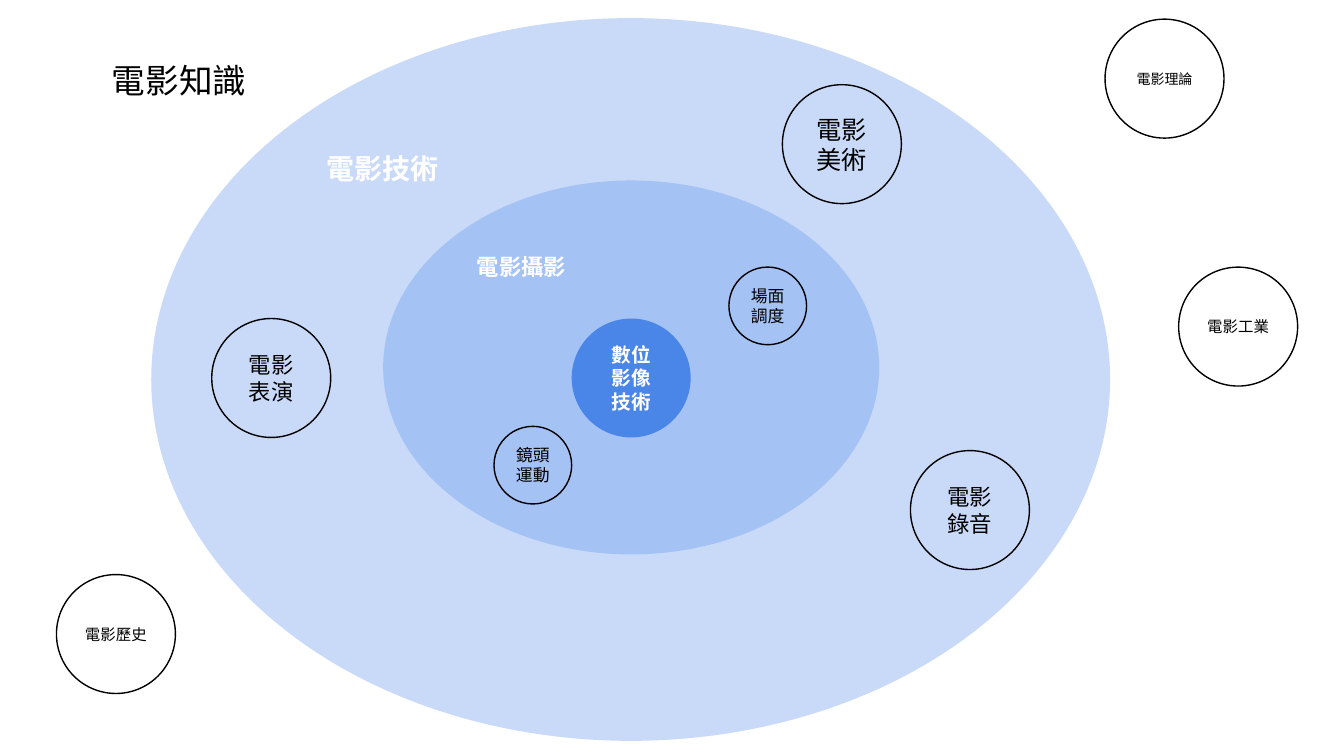
import pptx
import pptx.util
import pptx.dml.color
import pptx.enum.shapes
import pptx.enum.text

Inches = pptx.util.Inches
Pt = pptx.util.Pt
ALIGN = pptx.enum.text.PP_ALIGN
ANCHOR = pptx.enum.text.MSO_ANCHOR


class FilmMap:
    font = "Arial"
    colors = {
        "black": "000000",
        "white": "FFFFFF",
        "technique": "C9DAF8",
        "cinematography": "A4C2F4",
        "digital": "4A86E8",
    }

    def __init__(self, slide):
        self.slide = slide

    def color(self, name):
        return pptx.dml.color.RGBColor.from_string(self.colors[name])

    def add_lines(self, frame, lines, size, color, bold, align, anchor, spacing=1.0):
        frame.vertical_anchor = anchor
        frame.auto_size = pptx.enum.text.MSO_AUTO_SIZE.NONE
        frame.margin_left = frame.margin_right = Inches(0.1)
        frame.margin_top = frame.margin_bottom = Inches(0.05)
        for index, line in enumerate(lines):
            paragraph = frame.add_paragraph() if index else frame.paragraphs[0]
            paragraph.alignment = align
            paragraph.line_spacing = spacing
            run = paragraph.add_run()
            run.text = line
            run.font.name = self.font
            run.font.size = Pt(size)
            run.font.bold = bold
            run.font.color.rgb = self.color(color)

    def label(self, holder, text, size, color, bold):
        holder.text_frame.word_wrap = False
        self.add_lines(holder.text_frame, [text], size, color, bold,
                       ALIGN.LEFT, ANCHOR.TOP, 0.8)

    def title(self, text, left, top, width, height, size):
        heading = self.slide.shapes.title
        heading.left, heading.top = Inches(left), Inches(top)
        heading.width, heading.height = Inches(width), Inches(height)
        self.label(heading, text, size, "black", False)

    def field_name(self, text, left, top, width, height, size):
        caption = self.slide.shapes.add_textbox(
            Inches(left), Inches(top), Inches(width), Inches(height))
        self.label(caption, text, size, "white", True)

    def ellipse(self, left, top, width, height, fill=None):
        oval = self.slide.shapes.add_shape(
            pptx.enum.shapes.MSO_SHAPE.OVAL,
            Inches(left), Inches(top), Inches(width), Inches(height))
        oval.shadow.inherit = False
        if fill:
            oval.fill.solid()
            oval.fill.fore_color.rgb = self.color(fill)
            oval.line.fill.background()
        else:
            oval.fill.background()
            oval.line.color.rgb = self.color("black")
            oval.line.width = Pt(1)
        return oval

    def topic(self, lines, left, top, diameter, size, fill=None):
        circle = self.ellipse(left, top, diameter, diameter, fill)
        circle.text_frame.word_wrap = True
        self.add_lines(circle.text_frame, lines, size,
                       "white" if fill else "black", bool(fill),
                       ALIGN.CENTER, ANCHOR.MIDDLE)


LARGE, SMALL = 1.18, 0.77
TOPICS = [
    ("電影工業", 11.69, 2.65, LARGE, 11),
    ("電影理論", 10.96, 0.19, LARGE, 10),
    ("電影美術", 7.76, 0.84, LARGE, 18),
    ("電影表演", 2.1, 3.16, LARGE, 16),
    ("電影錄音", 9.03, 4.47, LARGE, 16),
    ("電影歷史", 0.56, 5.7, LARGE, 11),
    ("場面調度", 7.23, 2.65, SMALL, 12),
    ("鏡頭運動", 4.9, 4.23, SMALL, 12),
]


def main():
    deck = pptx.Presentation()
    deck.slide_width, deck.slide_height = Inches(13.33), Inches(7.5)
    film_map = FilmMap(deck.slides.add_slide(deck.slide_layouts[5]))

    film_map.title("電影知識", 1.01, 0.62, 1.55, 0.42, 24)
    film_map.ellipse(1.5, 0.18, 9.51, 7.17, "technique")
    film_map.ellipse(3.8, 1.79, 4.92, 3.71, "cinematography")
    film_map.field_name("電影攝影", 4.63, 2.51, 1.1, 0.32, 16)
    film_map.field_name("電影技術", 3.14, 1.52, 1.39, 0.37, 20)
    film_map.topic(["數位", "影像", "技術"], 5.67, 3.16, LARGE, 14, "digital")
    for name, left, top, diameter, size in TOPICS:
        film_map.topic([name], left, top, diameter, size)

    deck.save("out.pptx")


if __name__ == "__main__":
    main()
